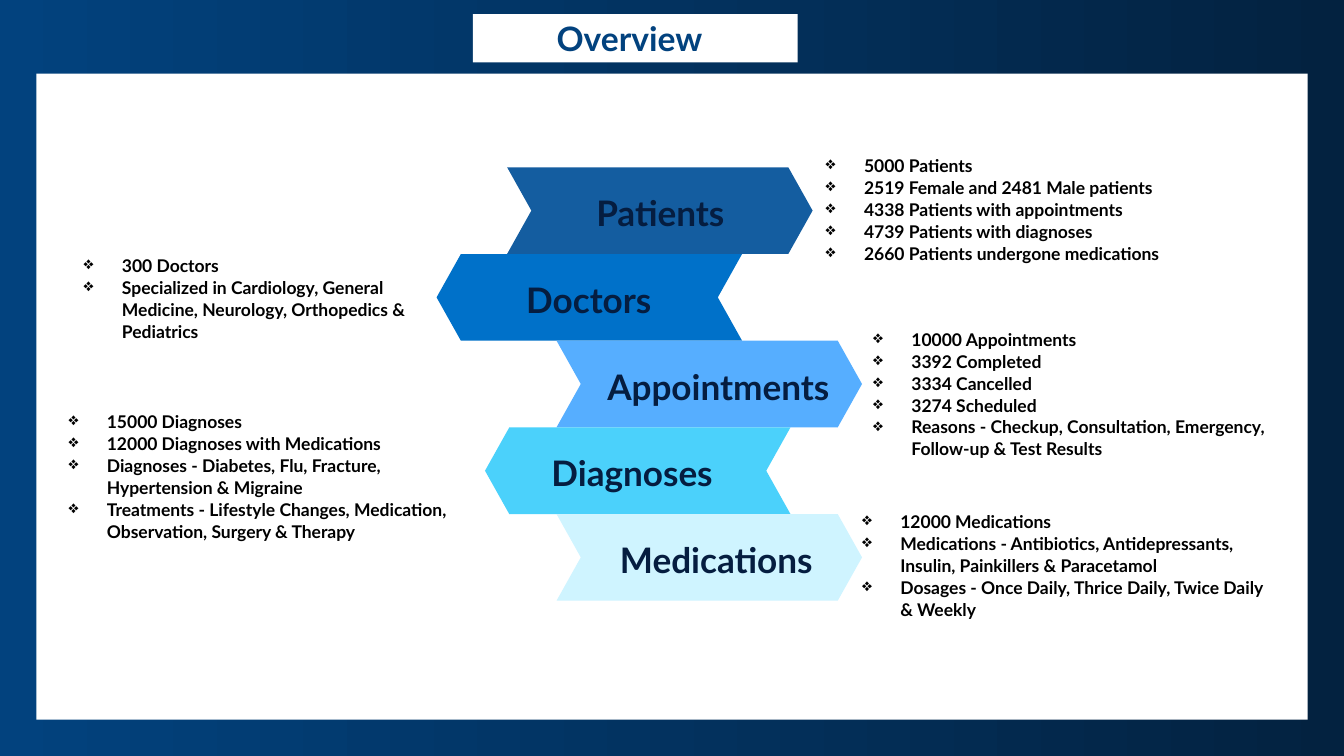
"""Build the Overview slide with five topic chevrons and their key facts."""
import dataclasses

import lxml.etree
import pptx
import pptx.dml.color
import pptx.enum.shapes
import pptx.enum.text
import pptx.oxml.ns
import pptx.shapes.autoshape
import pptx.slide
import pptx.util

Inches = pptx.util.Inches
Pt = pptx.util.Pt
Shape = pptx.enum.shapes.MSO_SHAPE
Align = pptx.enum.text.PP_ALIGN

ROW_TOP, ROW_HEIGHT, CHEVRON_WIDTH = 1.66, 0.86, 3.03
POINT_RATIO = 0.28
LABEL_DROP = 0.18
BULLET_INDENT = 0.38
NAVY, INK = "02427E", "051D40"


@dataclasses.dataclass
class Topic:
    name: str
    color: str
    left: float
    points_left: bool
    label_left: float
    label_width: float
    facts_at: tuple[float, float, float, float]
    facts: list[str]


TOPICS = [
    Topic("Patients", "145DA0", 5.03, False, 5.55, 2, (8.19, 1.53, 3.74, 1.12), [
        "5000 Patients",
        "2519 Female and 2481 Male patients",
        "4338 Patients with appointments",
        "4739 Patients with diagnoses",
        "2660 Patients undergone medications",
    ]),
    Topic("Doctors", "0071C9", 4.33, True, 4.84, 2, (0.83, 2.52, 3.48, 0.89), [
        "300 Doctors",
        "Specialized in Cardiology, General Medicine, Neurology, Orthopedics & Pediatrics",
    ]),
    Topic("Appointments", "56AEFF", 5.52, False, 5.9, 2.45, (8.66, 3.25, 3.98, 1.34), [
        "10000 Appointments",
        "3392 Completed",
        "3334 Cancelled",
        "3274 Scheduled",
        "Reasons - Checkup, Consultation, Emergency, Follow-up & Test Results",
    ]),
    Topic("Diagnoses", "4BD1FB", 4.81, True, 5.27, 2, (0.68, 4.07, 4.12, 1.34), [
        "15000 Diagnoses",
        "12000 Diagnoses with Medications",
        "Diagnoses - Diabetes, Flu, Fracture, Hypertension & Migraine",
        "Treatments - Lifestyle Changes, Medication, Observation, Surgery & Therapy",
    ]),
    Topic("Medications", "CFF4FF", 5.52, False, 6.03, 2.15, (8.55, 5.06, 4.09, 1.12), [
        "12000 Medications",
        "Medications - Antibiotics, Antidepressants, Insulin, Painkillers & Paracetamol",
        "Dosages - Once Daily, Thrice Daily, Twice Daily & Weekly",
    ]),
]


def rgb(color: str) -> pptx.dml.color.RGBColor:
    return pptx.dml.color.RGBColor.from_string(color)


def paint_background(page: pptx.slide.Slide, colors: tuple[str, str]) -> None:
    fill = page.background.fill
    fill.gradient()
    fill.gradient_angle = 0
    for stop, color in zip(fill.gradient_stops, colors):
        stop.color.rgb = rgb(color)


def add_block(page: pptx.slide.Slide, kind: Shape, color: str, left: float, top: float,
              width: float, height: float) -> pptx.shapes.autoshape.Shape:
    block = page.shapes.add_shape(kind, Inches(left), Inches(top), Inches(width), Inches(height))
    block.shadow.inherit = False
    block.fill.solid()
    block.fill.fore_color.rgb = rgb(color)
    block.line.fill.background()
    return block


def add_text(page: pptx.slide.Slide, lines: list[str], at: tuple[float, float, float, float], *,
             size: float, color: str, spacing: float, align: Align = Align.LEFT,
             bullet: str = "") -> None:
    box = page.shapes.add_textbox(*(Inches(length) for length in at))
    frame = box.text_frame
    frame.word_wrap = True
    frame.margin_left = frame.margin_right = frame.margin_top = frame.margin_bottom = 0
    for index, line in enumerate(lines):
        para = frame.add_paragraph() if index else frame.paragraphs[0]
        para.alignment = align
        para.line_spacing = Pt(spacing)
        if bullet:
            properties = para._p.get_or_add_pPr()
            properties.set("marL", str(Inches(BULLET_INDENT)))
            properties.set("indent", str(-Inches(BULLET_INDENT)))
            mark = lxml.etree.SubElement(properties, pptx.oxml.ns.qn("a:buChar"))
            mark.set("char", bullet)
        span = para.add_run()
        span.text = line
        span.font.name = "Lato"
        span.font.size = Pt(size)
        span.font.bold = True
        span.font.color.rgb = rgb(color)


def add_topic(page: pptx.slide.Slide, topic: Topic, top: float) -> None:
    chevron = add_block(page, Shape.CHEVRON, topic.color, topic.left, top,
                        CHEVRON_WIDTH, ROW_HEIGHT)
    chevron.adjustments[0] = POINT_RATIO
    if topic.points_left:
        chevron.rotation = 180
    add_text(page, [topic.name], (topic.label_left, top + LABEL_DROP, topic.label_width, 0.45),
             size=25.1, color=INK, spacing=34.6, align=Align.CENTER)
    add_text(page, topic.facts, topic.facts_at,
             size=12.5, color="000000", spacing=15.7, bullet="❖")


def main() -> None:
    deck = pptx.Presentation()
    deck.slide_width, deck.slide_height = Inches(13.33), Inches(7.5)
    page = deck.slides.add_slide(deck.slide_layouts[6])
    paint_background(page, (NAVY, "032240"))
    add_block(page, Shape.RECTANGLE, "FFFFFF", 0.36, 0.73, 12.61, 6.41)
    add_block(page, Shape.RECTANGLE, "FFFFFF", 4.69, 0.14, 3.22, 0.48)
    add_text(page, ["Overview"], (5.52, 0.19, 1.79, 0.39), size=24, color=NAVY, spacing=28)
    for row, topic in enumerate(TOPICS):
        add_topic(page, topic, ROW_TOP + row * ROW_HEIGHT)
    deck.save("out.pptx")


if __name__ == "__main__":
    main()
